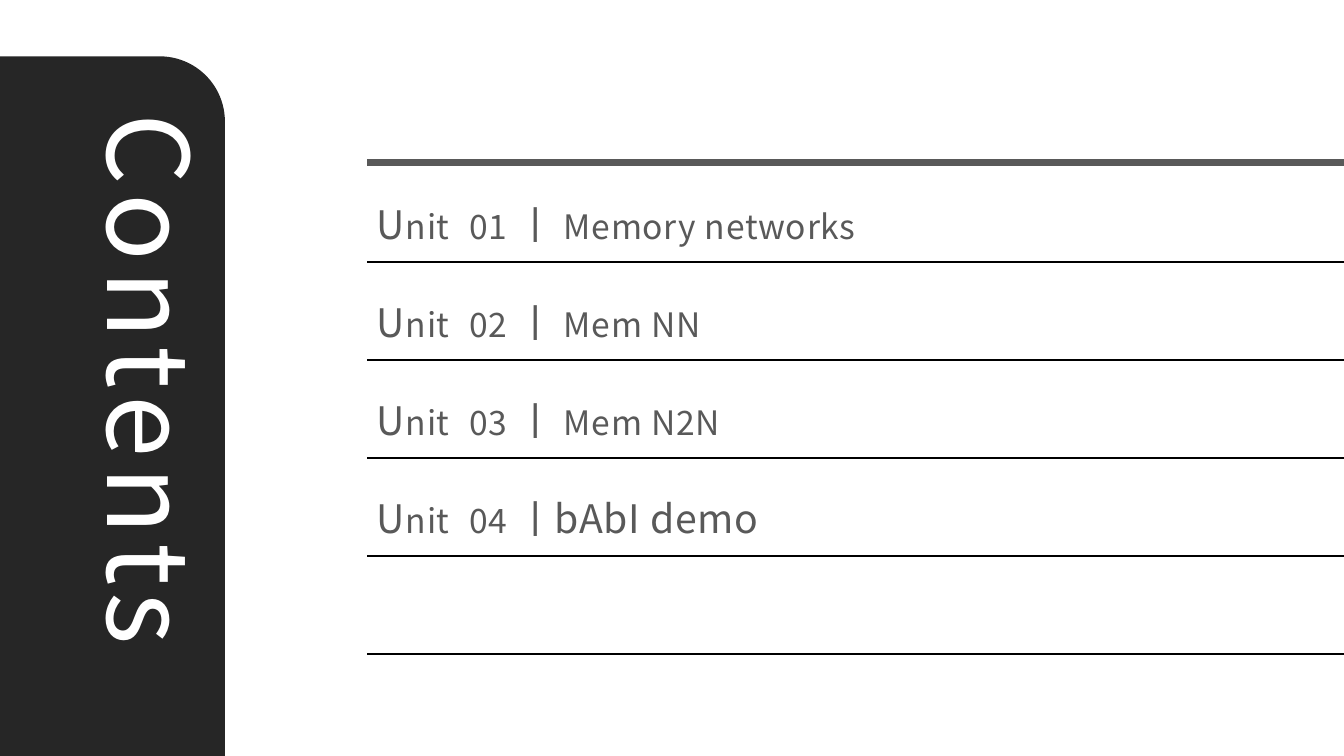
from dataclasses import dataclass

from lxml.etree import SubElement
from pptx import Presentation
from pptx.dml.color import RGBColor
from pptx.enum.shapes import MSO_CONNECTOR, MSO_SHAPE
from pptx.enum.text import MSO_ANCHOR
from pptx.oxml.ns import qn
from pptx.util import Cm, Pt


@dataclass(frozen=True)
class Theme:
    font: str = "Noto Sans CJK KR"
    tab: RGBColor = RGBColor(0x26, 0x26, 0x26)
    title: RGBColor = RGBColor(0xFF, 0xFF, 0xFF)
    text: RGBColor = RGBColor(0x59, 0x59, 0x59)
    rule: RGBColor = RGBColor(0x00, 0x00, 0x00)
    title_size: int = 80
    large: int = 28
    small: int = 24


THEME = Theme()
SLIDE_W, SLIDE_H = 33.87, 19.05
LIST_X, ROW_PITCH, ROW_COUNT = 9.25, 2.47, 5
TOP_RULE_Y, FIRST_TEXT_Y, FIRST_RULE_Y = 4.09, 4.64, 6.6
UNITS = [
    ("Memory networks", " ㅣ ", THEME.small),
    ("Mem NN", " ㅣ ", THEME.small),
    ("Mem N2N", " ㅣ ", THEME.small),
    ("bAbI demo", " ㅣ", THEME.large),
]


def add_text(s, box, runs, color, spacing):
    """Add one paragraph of (text, size, extra spacing) runs; spacing is in points."""
    tb = s.shapes.add_textbox(*(Cm(v) for v in box))
    tf = tb.text_frame
    tf.word_wrap = True
    p = tf.paragraphs[0]
    p.font.name = THEME.font
    p.font.color.rgb = color
    defaults = p._p.pPr.find(qn("a:defRPr"))
    SubElement(defaults, qn("a:ea")).set("typeface", THEME.font)
    for text, size, extra in runs:
        r = p.add_run()
        r.text = text
        r.font.size = Pt(size)
        r._r.get_or_add_rPr().set("spc", str(round((spacing + extra) * 100)))
    return tb


def add_rule(s, y, color, width):
    line = s.shapes.add_connector(
        MSO_CONNECTOR.STRAIGHT, Cm(LIST_X), Cm(y), Cm(SLIDE_W), Cm(y))
    line.line.color.rgb = color
    line.line.width = Pt(width)
    SubElement(line._element.spPr, qn("a:effectLst"))


def add_title_tab(s, title):
    tab = s.shapes.add_shape(
        MSO_SHAPE.ROUND_1_RECTANGLE, 0, Cm(1.42), Cm(5.67), Cm(SLIDE_H - 1.42))
    tab.adjustments[0] = 0.29
    tab.shadow.inherit = False
    tab.fill.solid()
    tab.fill.fore_color.rgb = THEME.tab
    tab.line.fill.background()
    tb = add_text(s, (-5.03, 9.63, 17.7, 3.68),
                  [(title, THEME.title_size, 0)], THEME.title, 6)
    tb.rotation = 90


def add_unit(s, index, name, divider, name_size):
    runs = [
        ("U", THEME.large, 0),
        ("nit", THEME.small, 0),
        (" ", THEME.large, 6.8),
        (f"{index + 1:02}", THEME.small, 0),
        (divider, THEME.large, 0),
        (name, name_size, 0),
    ]
    box = (LIST_X, FIRST_TEXT_Y + index * ROW_PITCH, 23.95, 1.98)
    tb = add_text(s, box, runs, THEME.text, 0.5)
    tb.text_frame.vertical_anchor = MSO_ANCHOR.MIDDLE


def main():
    prs = Presentation()
    prs.slide_width, prs.slide_height = Cm(SLIDE_W), Cm(SLIDE_H)
    s = prs.slides.add_slide(prs.slide_layouts[6])
    add_title_tab(s, "Contents")
    add_rule(s, TOP_RULE_Y, THEME.text, 5)
    for index, unit in enumerate(UNITS):
        add_unit(s, index, *unit)
    for row in range(ROW_COUNT):
        add_rule(s, FIRST_RULE_Y + row * ROW_PITCH, THEME.rule, 1)
    prs.save("out.pptx")


if __name__ == "__main__":
    main()
